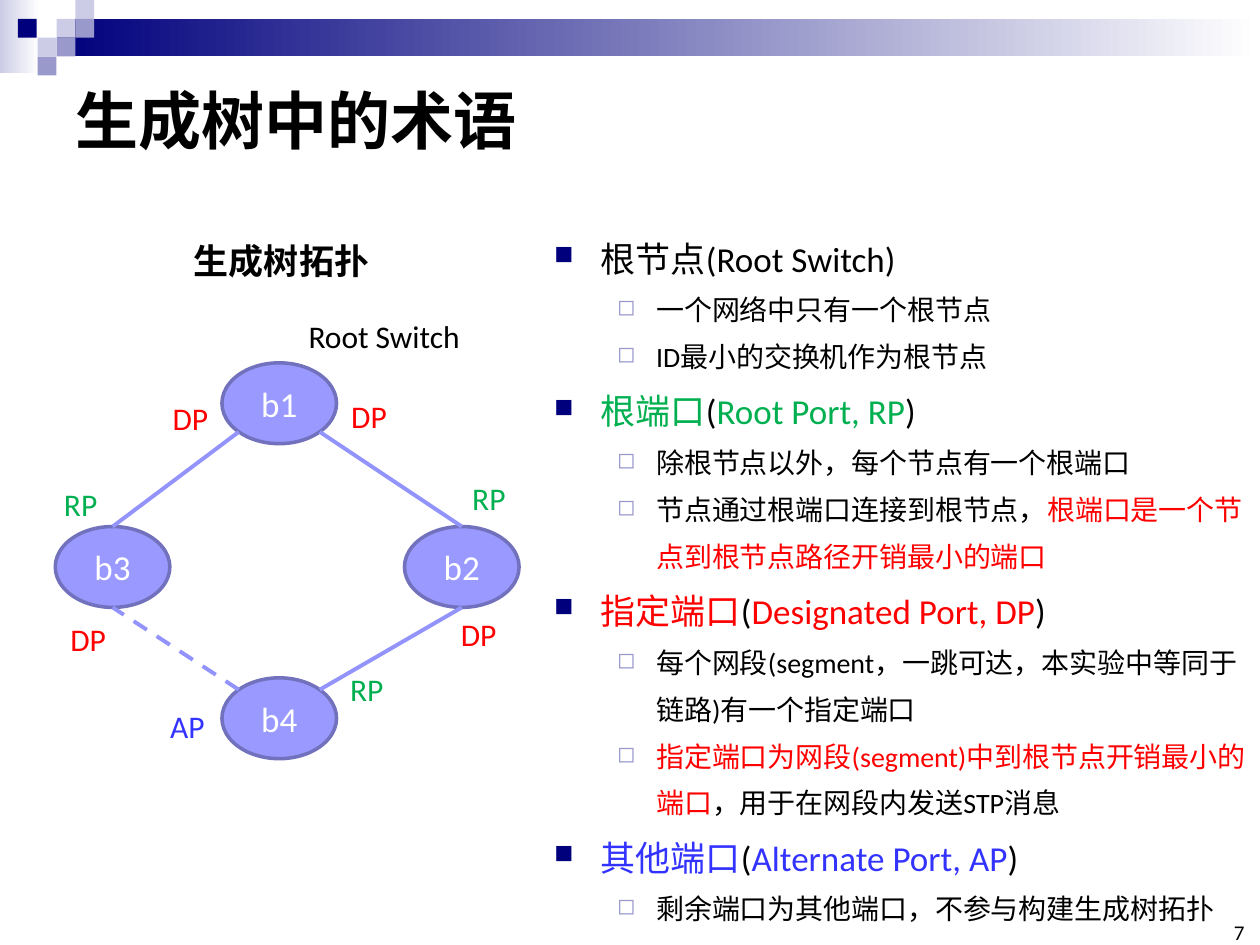
import pptx
import pptx.util
import pptx.dml.color
import pptx.enum.dml
import pptx.enum.shapes
import pptx.enum.text
import pptx.oxml
import pptx.oxml.ns
import lxml.etree
import math

Cm = pptx.util.Cm
Pt = pptx.util.Pt
Kind = pptx.enum.shapes.MSO_SHAPE
Fit = pptx.enum.text.MSO_AUTO_SIZE
Align = pptx.enum.text.PP_ALIGN
Anchor = pptx.enum.text.MSO_ANCHOR
qn = pptx.oxml.ns.qn


def hue(code):
    return pptx.dml.color.RGBColor.from_string(code)


def write(par, text, size, code="000000", bold=False):
    run = par.add_run()
    run.text = text
    run.font.name = "Calibri"
    run.font.size = Pt(size)
    run.font.bold = bold
    run.font.color.rgb = hue(code)


deck = pptx.Presentation()
deck.slide_width = Cm(25.4)
deck.slide_height = Cm(19.05)
slide = deck.slides.add_slide(deck.slide_layouts[5])
shapes = slide.shapes

side = 0.38
blocks = [
    (0, 0, 0.79, 1.47, "CCCCE6", True),
    (1.14, side, 24.26, 0.76, "00007D", True),
    (1.14, side, side, side, "CCCCE6", False),
    (1.52, 0, side, side, "CCCCE6", False),
    (1.52, side, side, side, "9999CC", False),
    (0.76, 0.76, side, side, "CCCCE6", False),
    (0.36, side, side, side, "00007D", False),
    (1.14, 0.76, side, side, "9999CC", False),
    (0.76, 1.14, side, side, "9999CC", False),
]
for x, y, wide, high, code, fade in blocks:
    block = shapes.add_shape(Kind.RECTANGLE, Cm(x), Cm(y), Cm(wide), Cm(high))
    block.shadow.inherit = False
    block.line.fill.background()
    if fade:
        block.fill.gradient()
        block.fill.gradient_angle = 0
        for stop, tone in zip(block.fill.gradient_stops, (code, "FFFFFF")):
            stop.color.rgb = hue(tone)
    else:
        block.fill.solid()
        block.fill.fore_color.rgb = hue(code)

title = shapes.title
title.left, title.top, title.width, title.height = Cm(1.27), Cm(1.27), Cm(22.86), Cm(2.26)
title.text_frame.vertical_anchor = Anchor.MIDDLE
par = title.text_frame.paragraphs[0]
par.alignment = Align.LEFT
write(par, "生成树中的术语", 36, bold=True)

page = shapes.add_textbox(Cm(24.51), Cm(18.62), Cm(0.58), Cm(0.43))
frame = page.text_frame
frame.margin_left = frame.margin_right = frame.margin_top = frame.margin_bottom = 0
frame.vertical_anchor = Anchor.BOTTOM
frame.word_wrap = True
frame.paragraphs[0].alignment = Align.RIGHT
write(frame.paragraphs[0], "7", 12)

wide, high = 2.31, 1.63
spots = {"b1": (5.63, 8.13), "b3": (2.27, 11.43), "b2": (9.31, 11.43), "b4": (5.63, 14.48)}
nodes = {}
for name, (x, y) in spots.items():
    node = shapes.add_shape(Kind.OVAL, Cm(x - wide / 2), Cm(y - high / 2), Cm(wide), Cm(high))
    node.shadow.inherit = False
    node.fill.solid()
    node.fill.fore_color.rgb = hue("9999FF")
    node.line.color.rgb = hue("7171BD")
    node.line.width = Pt(2)
    node.text_frame.vertical_anchor = Anchor.MIDDLE
    node.text_frame.paragraphs[0].alignment = Align.CENTER
    write(node.text_frame.paragraphs[0], name, 20, "FFFFFF")
    nodes[name] = node

diag = math.sqrt(0.5)
for hub, leaf in [("b1", "b3"), ("b1", "b2"), ("b4", "b3"), ("b4", "b2")]:
    hx, hy = spots[hub]
    lx, ly = spots[leaf]
    right = 1 if lx > hx else -1
    down = 1 if ly > hy else -1
    start = (Cm(hx + right * diag * wide / 2), Cm(hy + down * diag * high / 2))
    end = (Cm(lx), Cm(ly - down * high / 2))
    link = shapes.add_connector(pptx.enum.shapes.MSO_CONNECTOR.STRAIGHT, *start, *end)
    if down == 1:
        link.end_connect(nodes[leaf], 0)
    link.line.color.rgb = hue("9393FC")
    link.line.width = Pt(2.25)
    if (hub, leaf) == ("b4", "b3"):
        link.line.dash_style = pptx.enum.dml.MSO_LINE.DASH
    lxml.etree.SubElement(link._element.spPr, qn("a:effectLst"))

green, red, blue, black = "00B050", "FF0000", "3333FF", "000000"
labels = [
    ("生成树拓扑", 3.66, 4.7, 4.09, 1.12, 20, black, True),
    ("Root Switch", 5.97, 6.27, 3.61, 1.02, 18, black, False),
]
ports = [
    ("RP", green, [(1.04, 9.65), (9.27, 9.53), (6.81, 13.39)]),
    ("DP", red, [(3.23, 7.92), (6.83, 7.87), (1.17, 12.37), (9.04, 12.27)]),
    ("AP", blue, [(3.18, 14.12)]),
]
for text, code, places in ports:
    for x, y in places:
        labels.append((text, x, y, 1.22, 1.02, 18, code, False))
for text, x, y, wide, high, size, code, bold in labels:
    label = shapes.add_textbox(Cm(x), Cm(y), Cm(wide), Cm(high))
    label.text_frame.word_wrap = False
    label.text_frame.auto_size = Fit.SHAPE_TO_FIT_TEXT
    write(label.text_frame.paragraphs[0], text, size, code, bold)

terms = [
    (0, [("根节点(Root Switch)", black)]),
    (1, [("一个网络中只有一个根节点", black)]),
    (1, [("ID最小的交换机作为根节点", black)]),
    (0, [("根端口", green), ("(", black), ("Root Port, RP", green), (")", black)]),
    (1, [("除根节点以外，每个节点有一个根端口", black)]),
    (1, [("节点通过根端口连接到根节点，", black),
         ("根端口是一个节点到根节点路径开销最小的端口", red)]),
    (0, [("指定端口", red), ("(", black), ("Designated Port, DP", red), (")", black)]),
    (1, [("每个网段(segment，一跳可达，本实验中等同于链路)有一个指定端口", black)]),
    (1, [("指定端口为网段(segment)中到根节点开销最小的端口", red),
         ("，用于在网段内发送STP消息", black)]),
    (0, [("其他端口", blue), ("(", black), ("Alternate Port, AP", blue), (")", black)]),
    (1, [("剩余端口为其他端口，不参与构建生成树拓扑", black)]),
]
styles = [
    (20, 0.94, 0.94, "00007D", 75, "■"),
    (16, 2.06, 0.79, "9999CC", 80, "◻"),
]
body = shapes.add_textbox(Cm(10.92), Cm(4.32), Cm(14.48), Cm(14))
frame = body.text_frame
frame.word_wrap = True
for i, (level, runs) in enumerate(terms):
    size, left, hang, tint, scale, mark = styles[level]
    par = frame.add_paragraph() if i else frame.paragraphs[0]
    props = par._p.get_or_add_pPr()
    props.set("marL", str(Cm(left)))
    props.set("indent", str(-Cm(hang)))
    color = lxml.etree.SubElement(props, qn("a:buClr"))
    lxml.etree.SubElement(color, qn("a:srgbClr"), val=tint)
    lxml.etree.SubElement(props, qn("a:buSzPct"), val=str(scale * 1000))
    lxml.etree.SubElement(props, qn("a:buChar"), char=mark)
    par.level = level
    par.line_spacing = 1.4
    for text, code in runs:
        write(par, text, size, code)

deck.save("out.pptx")
